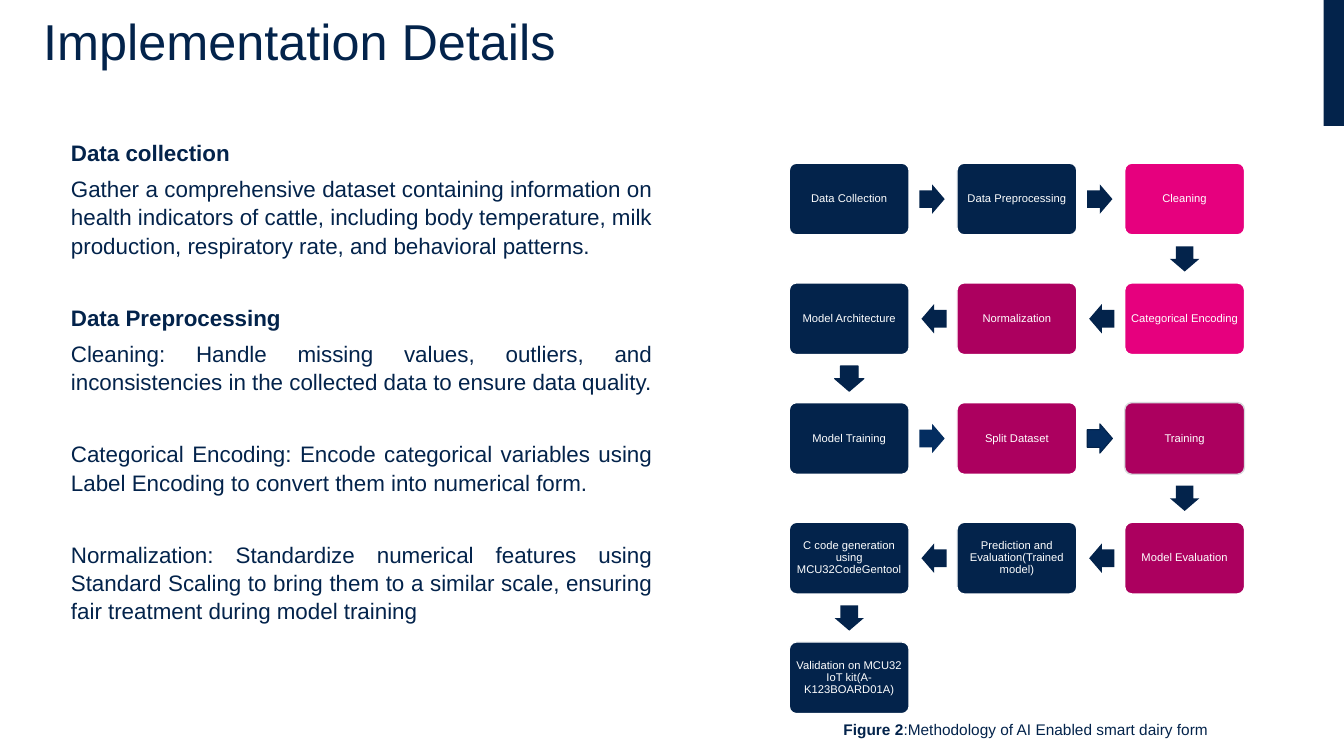
"""Build the implementation details slide with its methodology flow."""
from dataclasses import dataclass

import pptx
import pptx.dml.color
import pptx.enum.shapes
import pptx.enum.text
import pptx.util

Pt = pptx.util.Pt
SHAPES = pptx.enum.shapes.MSO_SHAPE
ALIGN = pptx.enum.text.PP_ALIGN
ANCHOR = pptx.enum.text.MSO_ANCHOR
FONT = "Arial"
COLORS = {
    "navy": "03234B",
    "blue": "042D60",
    "pink": "E6007E",
    "plum": "AC005F",
    "white": "FFFFFF",
    "grey": "D9D9DD",
}
GRID_LEFT, GRID_TOP = 563.8, 116.6
COLUMN_PITCH, ROW_PITCH = 119.8, 85.5
STEP_WIDTH, STEP_HEIGHT = 85.6, 51.2
ARROW_LENGTH, ARROW_WIDTH, ARROW_SHIFT = 18, 21, 0.7


@dataclass
class Step:
    label: str
    column: int
    row: int
    fill: str = "navy"
    border: str = "white"
    arrow_fill: str = "navy"
    arrow_border: str | None = None

    def center(self) -> tuple[float, float]:
        return (GRID_LEFT + self.column * COLUMN_PITCH + STEP_WIDTH / 2,
                GRID_TOP + self.row * ROW_PITCH + STEP_HEIGHT / 2)


@dataclass
class Passage:
    text: str
    bold: bool = False
    space_before: float = 6


STEPS = [
    Step("Data Collection", 0, 0),
    Step("Data Preprocessing", 1, 0),
    Step("Cleaning", 2, 0, "pink"),
    Step("Categorical Encoding", 2, 1, "pink"),
    Step("Normalization", 1, 1, "plum"),
    Step("Model Architecture", 0, 1, arrow_border="navy"),
    Step("Model Training", 0, 2, arrow_fill="blue"),
    Step("Split Dataset", 1, 2, "plum", arrow_fill="blue", arrow_border="navy"),
    Step("Training", 2, 2, "plum", "grey"),
    Step("Model Evaluation", 2, 3, "plum"),
    Step("Prediction and Evaluation(Trained model)", 1, 3),
    Step("C code generation using MCU32CodeGentool", 0, 3),
    Step("Validation on MCU32 IoT kit(A-K123BOARD01A)", 0, 4),
]
SECTION_GAP = 31.3
PASSAGES = [
    Passage("Data collection", True, 0),
    Passage("Gather a comprehensive dataset containing information on health indicators of "
            "cattle, including body temperature, milk production, respiratory rate, and "
            "behavioral patterns."),
    Passage("Data Preprocessing", True, SECTION_GAP),
    Passage("Cleaning: Handle missing values, outliers, and inconsistencies in the collected "
            "data to ensure data quality."),
    Passage("Categorical Encoding: Encode categorical variables using Label Encoding to convert "
            "them into numerical form.", space_before=SECTION_GAP),
    Passage("Normalization: Standardize numerical features using Standard Scaling to bring them "
            "to a similar scale, ensuring fair treatment during model training",
            space_before=SECTION_GAP),
]


def rgb(name: str) -> pptx.dml.color.RGBColor:
    return pptx.dml.color.RGBColor.from_string(COLORS[name])


def format_span(span, size: float, color: str = "navy", bold: bool = False) -> None:
    span.font.name = FONT
    span.font.size = Pt(size)
    span.font.bold = bold
    span.font.color.rgb = rgb(color)


def add_box(page, left: float, top: float, width: float, height: float):
    box = page.shapes.add_textbox(Pt(left), Pt(top), Pt(width), Pt(height))
    box.text_frame.word_wrap = True
    return box.text_frame


def add_block(page, kind, left: float, top: float, width: float, height: float,
              fill: str, border: str | None = None, border_width: float = 1):
    block = page.shapes.add_shape(kind, Pt(left), Pt(top), Pt(width), Pt(height))
    block.shadow.inherit = False
    block.fill.solid()
    block.fill.fore_color.rgb = rgb(fill)
    if border:
        block.line.color.rgb = rgb(border)
        block.line.width = Pt(border_width)
    else:
        block.line.fill.background()
    return block


def add_step(page, step: Step) -> None:
    x, y = step.center()
    block = add_block(page, SHAPES.ROUNDED_RECTANGLE, x - STEP_WIDTH / 2, y - STEP_HEIGHT / 2,
                      STEP_WIDTH, STEP_HEIGHT, step.fill, step.border)
    block.adjustments[0] = 0.1
    frame = block.text_frame
    frame.word_wrap = True
    frame.vertical_anchor = ANCHOR.MIDDLE
    frame.margin_left = frame.margin_right = Pt(2)
    frame.margin_top = frame.margin_bottom = Pt(2)
    frame.text = step.label
    para = frame.paragraphs[0]
    para.alignment = ALIGN.CENTER
    para.line_spacing = 0.9
    format_span(para.runs[0], 8, "white")


def add_arrow(page, step: Step, following: Step) -> None:
    (x1, y1), (x2, y2) = step.center(), following.center()
    direction = following.column - step.column
    x = (x1 + x2) / 2 - ARROW_SHIFT * direction
    y = (y1 + y2) / 2
    arrow = add_block(page, SHAPES.RIGHT_ARROW, x - ARROW_LENGTH / 2, y - ARROW_WIDTH / 2,
                      ARROW_LENGTH, ARROW_WIDTH, step.arrow_fill, step.arrow_border, 0.75)
    arrow.adjustments[0] = 0.6
    arrow.adjustments[1] = 0.5
    arrow.rotation = {1: 0, 0: 90, -1: 180}[direction]


def add_title(page) -> None:
    frame = add_box(page, 23.8, 0, 914.4, 63.4)
    frame.vertical_anchor = ANCHOR.MIDDLE
    frame.text = "Implementation Details"
    para = frame.paragraphs[0]
    para.line_spacing = 0.9
    format_span(para.runs[0], 36)


def add_passages(page) -> None:
    frame = add_box(page, 22.3, 74.2, 450.7, 392.4)
    frame.margin_left = Pt(28.4)
    frame.margin_top = Pt(24)
    frame.text = "\n".join(passage.text for passage in PASSAGES)
    for para, passage in zip(frame.paragraphs, PASSAGES):
        para.alignment = ALIGN.JUSTIFY
        para.line_spacing = 1.05
        para.space_before = Pt(passage.space_before)
        format_span(para.runs[0], 16, bold=passage.bold)


def add_caption(page) -> None:
    para = add_box(page, 595.4, 510.5, 316.8, 20.9).paragraphs[0]
    for text, bold in (("Figure 2", True), (":Methodology of AI Enabled smart dairy form", False)):
        span = para.add_run()
        span.text = text
        format_span(span, 11, bold=bold)


def main() -> None:
    deck = pptx.Presentation()
    deck.slide_width, deck.slide_height = Pt(960), Pt(540)
    page = deck.slides.add_slide(deck.slide_layouts[6])
    add_block(page, SHAPES.RECTANGLE, 945.4, 0, 14.6, 90, "navy")
    add_title(page)
    add_passages(page)
    for step in STEPS:
        add_step(page, step)
    for step, following in zip(STEPS, STEPS[1:]):
        add_arrow(page, step, following)
    add_caption(page)
    deck.save("out.pptx")


if __name__ == "__main__":
    main()
